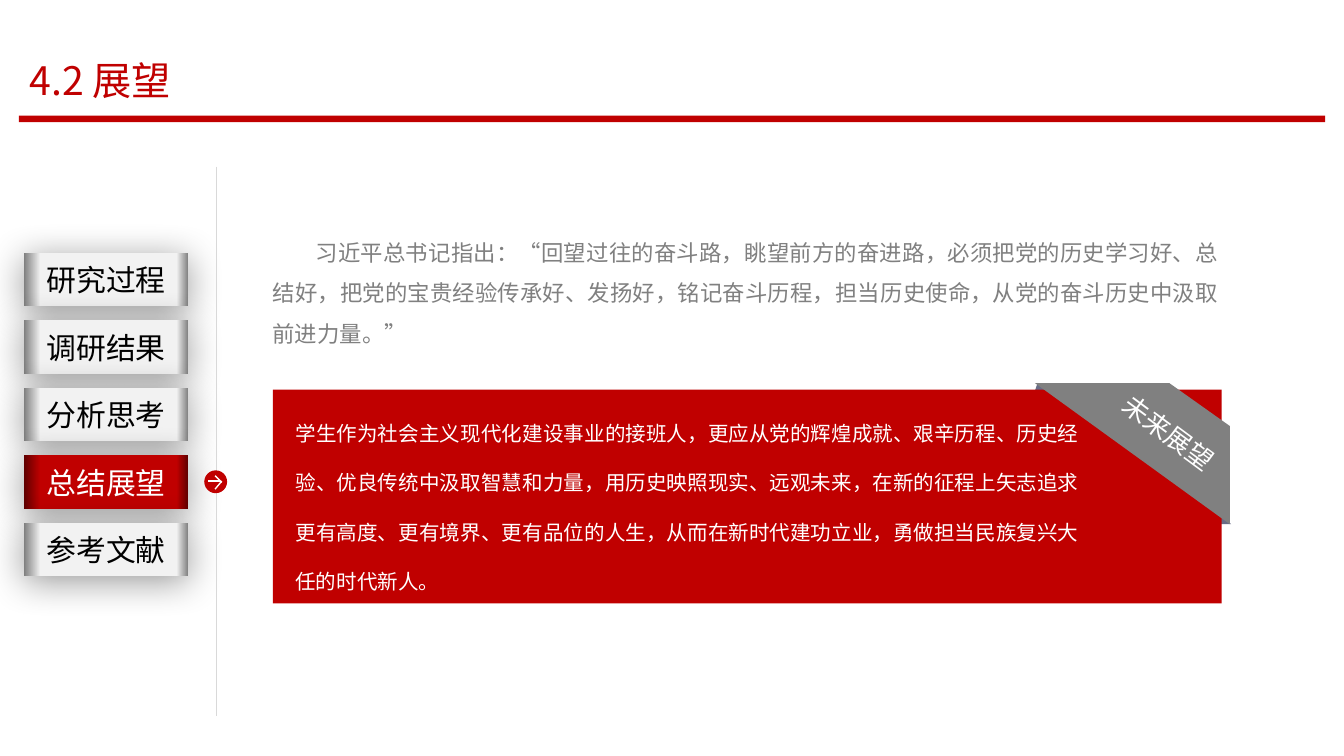
"""Build the outlook slide with its side navigation and banner panel."""
from lxml import etree
from pptx import Presentation
from pptx import util as u
from pptx.dml.color import RGBColor
from pptx.enum import shapes, text
from pptx.oxml import parse_xml
from pptx.oxml.ns import nsdecls, qn

RED = RGBColor(0xC0, 0x00, 0x00)
DARK_RED = RGBColor(0x60, 0x00, 0x00)
GRAY = RGBColor(0x80, 0x80, 0x80)
LIGHT = RGBColor(0xF2, 0xF2, 0xF2)
RULE = RGBColor(0xD9, 0xD9, 0xD9)
FOLD = RGBColor(0x68, 0x6C, 0x86)
WHITE = RGBColor(0xFF, 0xFF, 0xFF)
BLACK = RGBColor(0x00, 0x00, 0x00)
FONT = "Noto Sans CJK SC"

TITLE = "4.2 展望"
NAV = ["研究过程", "调研结果", "分析思考", "总结展望", "参考文献"]
ACTIVE = "总结展望"
QUOTE = ("习近平总书记指出：“回望过往的奋斗路，眺望前方的奋进路，必须把党的历史学习好、"
         "总结好，把党的宝贵经验传承好、发扬好，铭记奋斗历程，担当历史使命，"
         "从党的奋斗历史中汲取前进力量。”")
MESSAGE = ("学生作为社会主义现代化建设事业的接班人，更应从党的辉煌成就、艰辛历程、历史经验、"
           "优良传统中汲取智慧和力量，用历史映照现实、远观未来，在新的征程上矢志追求更有高度、"
           "更有境界、更有品位的人生，从而在新时代建功立业，勇做担当民族复兴大任的时代新人。")
RIBBON_LABEL = "未来展望"

NAV_TOP, NAV_LAST = 1.88, 3.89
ARROW = [((1.55, 3.58), (1.64, 3.58)), ((1.6, 3.64), (1.65, 3.58)), ((1.65, 3.59), (1.6, 3.54))]
FOLDS = [[(9.16, 3.9), (9.05, 3.9), (9.05, 3.8)], [(7.72, 2.85), (7.7, 2.91), (7.82, 2.91)]]
RIBBON = [(7.7, 2.85), (9.15, 3.9), (9.15, 3.17), (8.7, 2.85)]


def add_run(p, words, size, color):
    r = p.add_run()
    r.text = words
    r.font.size, r.font.name, r.font.color.rgb = u.Pt(size), FONT, color
    etree.SubElement(r._r.get_or_add_rPr(), qn("a:ea")).set("typeface", FONT)


def paint(s, color):
    s.shadow.inherit = False
    s.fill.solid()
    s.fill.fore_color.rgb = color
    s.line.fill.background()


def add_box(parent, kind, box, color):
    s = parent.add_shape(kind, *map(u.Inches, box))
    paint(s, color)
    return s


def add_outline(parent, points, color):
    corners = [(u.Inches(x), u.Inches(y)) for x, y in points]
    fb = parent.build_freeform(*corners[0])
    fb.add_line_segments(corners[1:], close=True)
    paint(fb.convert_to_shape(), color)


def add_line(parent, start, end, color):
    s = parent.add_connector(shapes.MSO_CONNECTOR.STRAIGHT, *map(u.Inches, start + end))
    s.line.color.rgb, s.line.width = color, u.Pt(0.75)
    etree.SubElement(s._element.spPr, qn("a:effectLst"))


def add_text(parent, box, words, size, color, align=None, spacing=None):
    s = parent.add_textbox(*map(u.Inches, box))
    s.text_frame.word_wrap = True
    s.text_frame.auto_size = text.MSO_AUTO_SIZE.SHAPE_TO_FIT_TEXT
    p = s.text_frame.paragraphs[0]
    p.alignment, p.line_spacing = align, spacing
    add_run(p, words, size, color)
    return s


def add_nav_button(parent, top, label, active):
    s = add_box(parent, shapes.MSO_SHAPE.RECTANGLE, (0.18, top, 1.22, 0.4), RED)
    edge, face = (DARK_RED, RED) if active else (GRAY, LIGHT)
    stops = "".join(f'<a:gs pos="{pos * 1000}"><a:srgbClr val="{c}"/></a:gs>'
                    for pos, c in [(0, edge), (7, face), (90, face), (100, edge)])
    spPr = s._element.spPr
    spPr.replace(spPr.find(qn("a:solidFill")), parse_xml(
        f'<a:gradFill {nsdecls("a")}><a:gsLst>{stops}</a:gsLst>'
        '<a:lin ang="10800000" scaled="0"/></a:gradFill>'))
    spPr.find(qn("a:effectLst")).append(parse_xml(
        f'<a:outerShdw {nsdecls("a")} blurRad="{u.Pt(20)}" dist="{u.Pt(3)}" dir="5400000" '
        'rotWithShape="0"><a:srgbClr val="000000"><a:alpha val="40000"/></a:srgbClr></a:outerShdw>'))
    tf = s.text_frame
    tf.vertical_anchor = text.MSO_ANCHOR.MIDDLE
    p = tf.paragraphs[0]
    p.alignment = text.PP_ALIGN.CENTER
    add_run(p, label, 16, WHITE if active else BLACK)


def main():
    prs = Presentation()
    prs.slide_width = u.Inches(10)
    prs.slide_height = u.Inches(10 * 9 / 16)
    slide = prs.slides.add_slide(prs.slide_layouts[5])
    sp = slide.shapes
    rect, justify = shapes.MSO_SHAPE.RECTANGLE, text.PP_ALIGN.JUSTIFY

    title = sp.title
    title.left, title.top, title.width, title.height = map(u.Inches, (0.12, 0.37, 3.85, 0.45))
    tf = title.text_frame
    tf.vertical_anchor = text.MSO_ANCHOR.TOP
    tf.auto_size = text.MSO_AUTO_SIZE.SHAPE_TO_FIT_TEXT
    tf.paragraphs[0].alignment = text.PP_ALIGN.LEFT
    add_run(tf.paragraphs[0], TITLE, 21, RED)
    add_box(sp, rect, (0.14, 0.86, 9.72, 0.05), RED)

    pitch = (NAV_LAST - NAV_TOP) / (len(NAV) - 1)
    for i, label in enumerate(NAV):
        add_nav_button(sp, NAV_TOP + i * pitch, label, label == ACTIVE)
    add_line(sp, (1.61, 1.24), (1.61, 5.33), RULE)

    marker = sp.add_group_shape().shapes
    add_box(marker, shapes.MSO_SHAPE.OVAL, (1.52, 3.5, 0.17, 0.17), RED)
    for start, end in ARROW:
        add_line(marker, start, end, WHITE)

    quote = add_text(sp, (1.93, 1.63, 7.24, 0.97), QUOTE, 12, GRAY, justify, 1.5)
    quote.text_frame.paragraphs[0]._p.get_or_add_pPr().set("indent", str(u.Inches(0.32)))

    panel = sp.add_group_shape().shapes
    for points in FOLDS:
        add_outline(panel, points, FOLD)
    add_box(panel, rect, (2.03, 2.9, 7.06, 1.59), RED)
    add_outline(panel, RIBBON, GRAY)
    add_text(sp, (8.2, 3.07, 1.04, 0.34), RIBBON_LABEL, 14, WHITE).rotation = 36.5
    add_text(sp, (2.1, 2.9, 6.03, 1.53), MESSAGE, 11, WHITE, justify, 2.0)
    prs.save("out.pptx")


if __name__ == "__main__":
    main()
